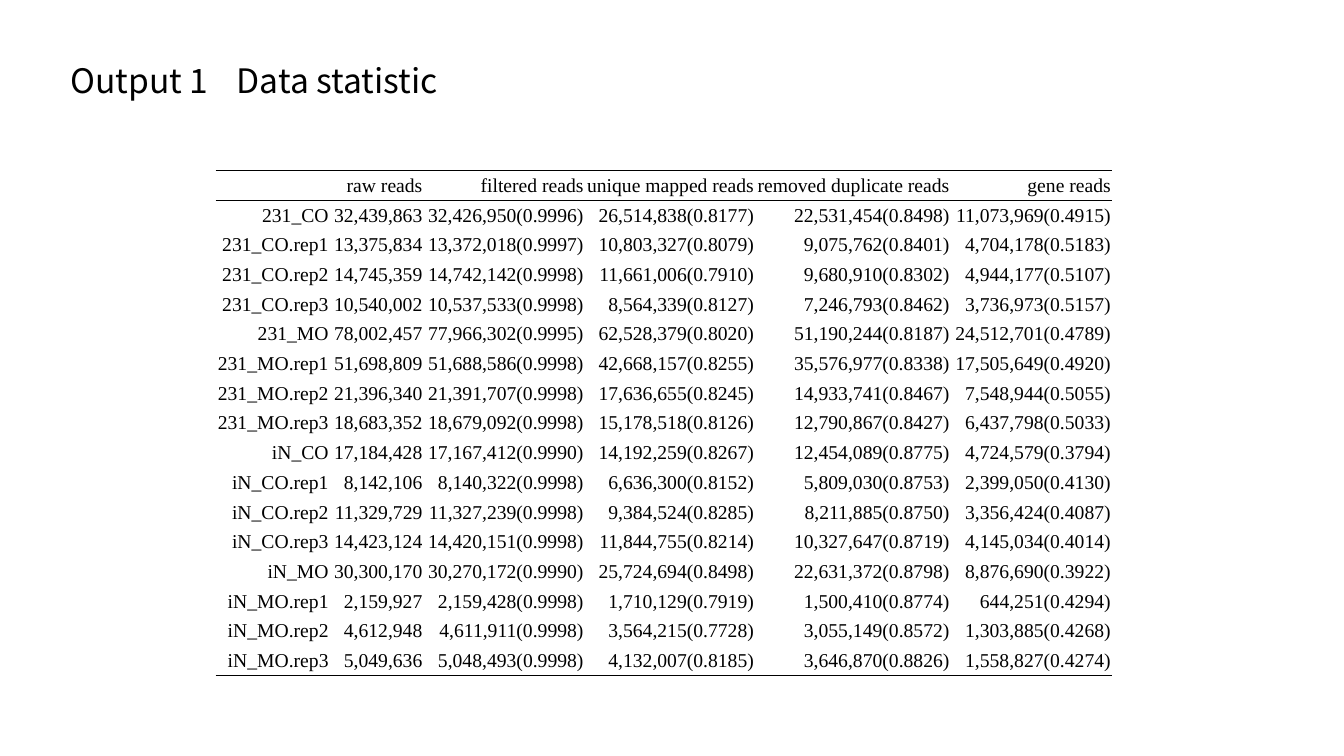
from lxml.etree import SubElement
from pptx import Presentation
from pptx.dml.color import RGBColor
from pptx.enum.text import MSO_ANCHOR as ANCHOR, MSO_AUTO_SIZE as AUTO, PP_ALIGN as ALIGN
from pptx.oxml import parse_xml
from pptx.oxml.ns import nsdecls, qn
from pptx.util import Inches, Pt

HEADER = ["", "raw reads", "filtered reads", "unique mapped reads",
          "removed duplicate reads", "gene reads"]
SAMPLES = [
    "231_CO 32,439,863 32,426,950(0.9996) 26,514,838(0.8177) 22,531,454(0.8498) 11,073,969(0.4915)",
    "231_CO.rep1 13,375,834 13,372,018(0.9997) 10,803,327(0.8079) 9,075,762(0.8401) 4,704,178(0.5183)",
    "231_CO.rep2 14,745,359 14,742,142(0.9998) 11,661,006(0.7910) 9,680,910(0.8302) 4,944,177(0.5107)",
    "231_CO.rep3 10,540,002 10,537,533(0.9998) 8,564,339(0.8127) 7,246,793(0.8462) 3,736,973(0.5157)",
    "231_MO 78,002,457 77,966,302(0.9995) 62,528,379(0.8020) 51,190,244(0.8187) 24,512,701(0.4789)",
    "231_MO.rep1 51,698,809 51,688,586(0.9998) 42,668,157(0.8255) 35,576,977(0.8338) 17,505,649(0.4920)",
    "231_MO.rep2 21,396,340 21,391,707(0.9998) 17,636,655(0.8245) 14,933,741(0.8467) 7,548,944(0.5055)",
    "231_MO.rep3 18,683,352 18,679,092(0.9998) 15,178,518(0.8126) 12,790,867(0.8427) 6,437,798(0.5033)",
    "iN_CO 17,184,428 17,167,412(0.9990) 14,192,259(0.8267) 12,454,089(0.8775) 4,724,579(0.3794)",
    "iN_CO.rep1 8,142,106 8,140,322(0.9998) 6,636,300(0.8152) 5,809,030(0.8753) 2,399,050(0.4130)",
    "iN_CO.rep2 11,329,729 11,327,239(0.9998) 9,384,524(0.8285) 8,211,885(0.8750) 3,356,424(0.4087)",
    "iN_CO.rep3 14,423,124 14,420,151(0.9998) 11,844,755(0.8214) 10,327,647(0.8719) 4,145,034(0.4014)",
    "iN_MO 30,300,170 30,270,172(0.9990) 25,724,694(0.8498) 22,631,372(0.8798) 8,876,690(0.3922)",
    "iN_MO.rep1 2,159,927 2,159,428(0.9998) 1,710,129(0.7919) 1,500,410(0.8774) 644,251(0.4294)",
    "iN_MO.rep2 4,612,948 4,611,911(0.9998) 3,564,215(0.7728) 3,055,149(0.8572) 1,303,885(0.4268)",
    "iN_MO.rep3 5,049,636 5,048,493(0.9998) 4,132,007(0.8185) 3,646,870(0.8826) 1,558,827(0.4274)",
]


def rgb(color):
    return RGBColor.from_string(color)


def apply(obj, values):
    for name, value in values.items():
        setattr(obj, name, value)


class Deck:
    """Slide builder that measures in a grid of 100 columns by 100 rows."""

    ink = "000000"
    title_font = {"name": "Noto Sans CJK SC", "size": Pt(24)}
    cell_font = {"name": "Times New Roman", "size": Pt(14)}
    title_frame = {"word_wrap": True, "auto_size": AUTO.SHAPE_TO_FIT_TEXT}
    cell_format = {"vertical_anchor": ANCHOR.MIDDLE, "margin_left": Inches(0.01),
                   "margin_right": Inches(0.01), "margin_top": Inches(0.01),
                   "margin_bottom": 0}
    plain_table = {"first_row": False, "horz_banding": False}

    def __init__(self):
        self.prs = Presentation()
        apply(self.prs, {"slide_width": Inches(13.33), "slide_height": Inches(7.5)})
        self.s = self.prs.slides.add_slide(self.prs.slide_layouts[6])

    def cols(self, n):
        return round(self.prs.slide_width * n / 100)

    def rows(self, n):
        return round(self.prs.slide_height * n / 100)

    def run(self, p, text, font):
        r = p.add_run()
        r.text = text
        apply(r.font, font)
        r.font.color.rgb = rgb(self.ink)

    def title(self, text, x, y, w, h):
        sp = self.s.shapes.add_textbox(self.cols(x), self.rows(y), self.cols(w), self.rows(h))
        tf = sp.text_frame
        apply(tf, self.title_frame)
        self.run(tf.paragraphs[0], text, self.title_font)

    def borders(self, cell, ruled):
        tc_pr = cell._tc.get_or_add_tcPr()
        for i, side in enumerate("LRTB"):
            paint = (f'<a:solidFill><a:srgbClr val="{self.ink}"/></a:solidFill>'
                     if side in ruled else "<a:noFill/>")
            tc_pr.insert(i, parse_xml(
                f'<a:ln{side} {nsdecls("a")} w="{Pt(0.5)}">{paint}</a:ln{side}>'))

    def cell(self, cell, text, ruled):
        apply(cell, self.cell_format)
        cell.fill.background()
        self.borders(cell, ruled)
        p = cell.text_frame.paragraphs[0]
        p.alignment = ALIGN.RIGHT
        if text:
            self.run(p, text, self.cell_font)
        else:
            SubElement(p._p, qn("a:endParaRPr"), sz="1400")

    def table(self, data, x, y, widths, row_height):
        n = len(data)
        tbl = self.s.shapes.add_table(
            n, len(widths), self.cols(x), self.rows(y),
            self.cols(sum(widths)), self.rows(row_height * n)).table
        apply(tbl, self.plain_table)
        for column, width in zip(tbl.columns, widths):
            column.width = self.cols(width)
        rules = {0: "TB", 1: "T", n - 1: "B"}
        for i, values in enumerate(data):
            tbl.rows[i].height = self.rows(row_height)
            for j, text in enumerate(values):
                self.cell(tbl.cell(i, j), text, rules.get(i, ""))


def main():
    deck = Deck()
    samples = [line.split() for line in SAMPLES]
    deck.table([HEADER] + samples, 16.05, 22.55, [8.48, 6.98, 12, 12.68, 14.55, 12], 3.93)
    deck.title("Output 1", 4.5, 7.2, 12, 6.67)
    deck.title("Data statistic", 16.88, 7.2, 17, 6.67)
    deck.prs.save("out.pptx")


if __name__ == "__main__":
    main()
